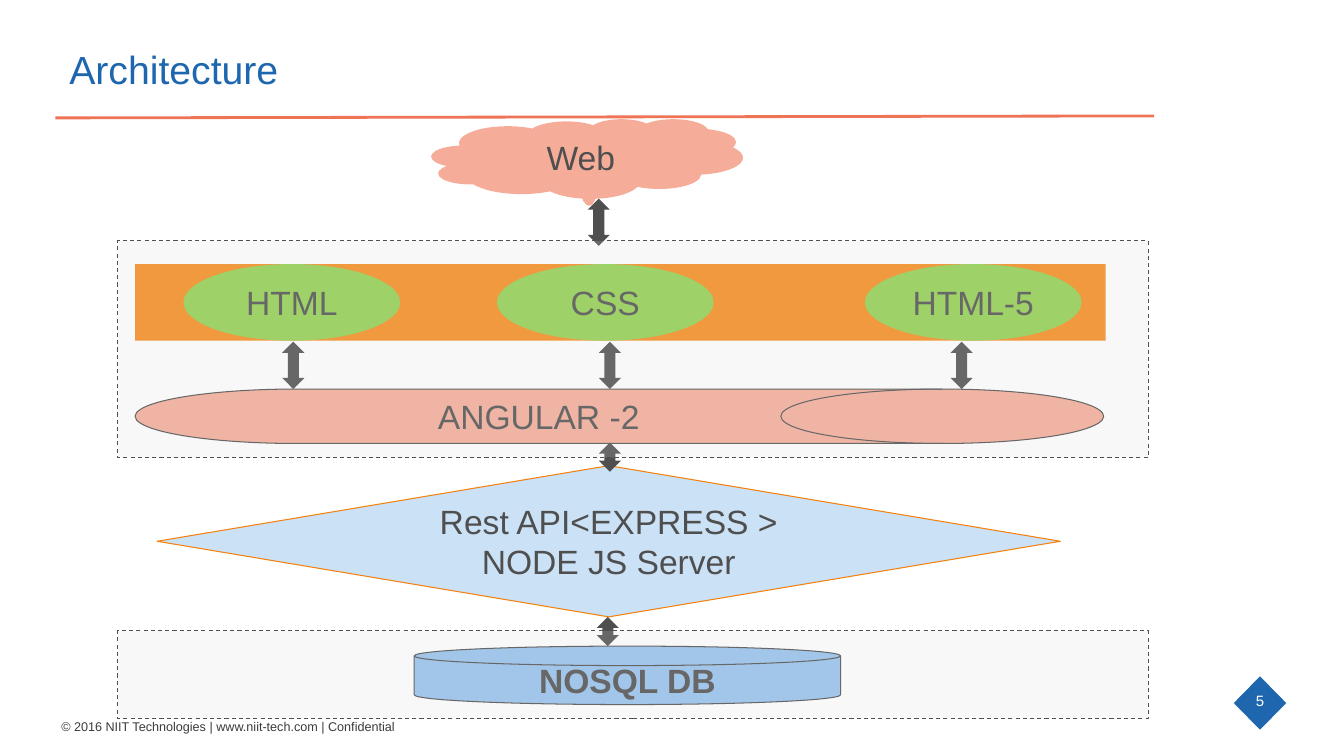
"""Build the architecture slide."""
from dataclasses import dataclass

from lxml.etree import SubElement
from pptx import Presentation
from pptx.dml.color import RGBColor
from pptx.enum.dml import MSO_LINE_DASH_STYLE as Dash
from pptx.enum.shapes import MSO_CONNECTOR as Connector
from pptx.enum.shapes import MSO_SHAPE as Preset
from pptx.enum.text import MSO_ANCHOR as Anchor
from pptx.enum.text import PP_ALIGN as Align
from pptx.oxml.ns import qn
from pptx.shapes.autoshape import Shape
from pptx.slide import Slide
from pptx.text.text import TextFrame
from pptx.util import Pt

COLORS = {
    "blue": "1E67AF",
    "red": "EE7455",
    "salmon": "F5AD99",
    "orange": "F78B1D",
    "outline": "F5800B",
    "green": "92D050",
    "sky": "CBE1F6",
    "database": "97C2ED",
    "gray": "4F4F4F",
    "zone": "D9D9D9",
    "footer": "3B3B3B",
    "white": "FFFFFF",
}


@dataclass(frozen=True)
class Block:
    """A preset shape with its place in points, colours and label."""

    preset: Preset
    left: float
    top: float
    width: float
    height: float
    fill: str
    line: str = ""
    text: str = ""
    bold: bool = False
    inset: float = 7.2
    adjustments: tuple[float, ...] = ()


BAND_TOP, BAND_HEIGHT = 188.64, 54.72
ARROW_WIDTH, ZONE_LEFT, ZONE_WIDTH = 15.84, 84.24, 735.84

PAGES = [
    Block(Preset.OVAL, left, BAND_TOP, 154.8, BAND_HEIGHT, "green", text=text)
    for left, text in ((131.04, "HTML"), (354.96, "CSS"), (617.76, "HTML-5"))
]
ARROWS = [
    Block(Preset.UP_DOWN_ARROW, left, top, ARROW_WIDTH, height, "gray")
    for left, top, height in (
        (426.24, 440.64, 20.88),
        (427.68, 316.08, 20.88),
        (678.96, 244.08, 33.84),
        (201.6, 244.08, 33.84),
        (427.68, 244.08, 33.84),
        (419.76, 141.84, 33.84),
    )
]
ZONES = [
    Block(Preset.RECTANGLE, ZONE_LEFT, top, ZONE_WIDTH, height, "zone", "gray")
    for top, height in ((172.08, 154.8), (450.72, 62.64))
]
BADGE = Block(Preset.DIAMOND, 881.28, 483.12, 37.44, 38.16, "blue")
BAND = Block(Preset.RECTANGLE, 96.48, BAND_TOP, 693.36, BAND_HEIGHT, "orange")
ANGULAR = Block(Preset.FLOWCHART_DIRECT_ACCESS_STORAGE, 96.48, 277.92, 691.92, 38.88,
                "salmon", "gray", "ANGULAR -2")
SERVER = Block(Preset.FLOWCHART_DECISION, 112.32, 332.64, 645.12, 108,
               "sky", "outline", "Rest API<EXPRESS >\vNODE JS Server")
DATABASE = Block(Preset.FLOWCHART_MAGNETIC_DISK, 295.92, 461.52, 304.56, 41.76,
                 "database", "gray", "NOSQL DB", bold=True)
CLOUD = Block(Preset.CLOUD_CALLOUT, 308.16, 84.96, 222.48, 56.88, "salmon",
              text="Web", inset=13.9, adjustments=(0.006, 0.523))


def color(name: str) -> RGBColor:
    """Return the named colour."""
    return RGBColor.from_string(COLORS[name])


def write(frame: TextFrame, text: str, *, size: float, ink: str, bold: bool = False,
          align: Align = Align.LEFT, anchor: Anchor = Anchor.TOP,
          insets: tuple[float, float, float, float] = (7.2, 3.6, 7.2, 3.6),
          spacing: float = 1.0) -> None:
    """Put formatted text in a frame; insets run left, top, right, bottom."""
    frame.word_wrap = True
    frame.vertical_anchor = anchor
    frame.margin_left, frame.margin_top, frame.margin_right, frame.margin_bottom = map(Pt, insets)
    paragraph = frame.paragraphs[0]
    paragraph.text = text
    paragraph.alignment = align
    paragraph.line_spacing = spacing
    font = paragraph.font
    font.name, font.size, font.bold = "Arial", Pt(size), bold
    font.color.rgb = color(ink)


def draw_block(slide: Slide, block: Block) -> Shape:
    """Draw one block and return its shape."""
    shape = slide.shapes.add_shape(
        block.preset, Pt(block.left), Pt(block.top), Pt(block.width), Pt(block.height))
    shape.shadow.inherit = False
    for index, value in enumerate(block.adjustments):
        shape.adjustments[index] = value
    shape.fill.solid()
    shape.fill.fore_color.rgb = color(block.fill)
    if block.line:
        shape.line.color.rgb = color(block.line)
        shape.line.width = Pt(0.75)
    else:
        shape.line.fill.background()
    if block.text:
        write(shape.text_frame, block.text, size=24, ink="gray", bold=block.bold,
              align=Align.CENTER, anchor=Anchor.MIDDLE, insets=(block.inset, 3.6, 7.2, 3.6))
    return shape


def draw_zone(slide: Slide, block: Block) -> None:
    """Draw a translucent block with a dashed outline."""
    shape = draw_block(slide, block)
    shape.line.dash_style = Dash.DASH
    fill = shape.fill._xPr.find(qn("a:solidFill"))
    SubElement(fill[0], qn("a:alpha"), val="18000")


def draw_frame(slide: Slide) -> None:
    """Draw the title, its rule, the footer and the page badge."""
    title = slide.shapes.title
    title.left, title.top, title.width, title.height = map(Pt, (34.56, 25.92, 784.8, 50.4))
    write(title.text_frame, "Architecture", size=28, ink="blue", anchor=Anchor.MIDDLE,
          insets=(15, 3.6, 7.2, 3.6), spacing=0.9)
    rule = slide.shapes.add_connector(
        Connector.STRAIGHT, Pt(39.6), Pt(84.24), Pt(824.4), Pt(82.8))
    rule.line.color.rgb = color("red")
    rule.line.width = Pt(2)
    SubElement(rule.line._ln.getparent(), qn("a:effectLst"))
    footer = slide.shapes.add_textbox(Pt(36.72), Pt(509.76), Pt(640.08), Pt(18))
    write(footer.text_frame, "© 2016 NIIT Technologies | www.niit-tech.com | Confidential",
          size=9, ink="footer")
    draw_block(slide, BADGE)
    number = slide.shapes.add_textbox(Pt(890.64), Pt(493.92), Pt(18.72), Pt(12.96))
    write(number.text_frame, "5", size=10.7, ink="white", align=Align.CENTER,
          insets=(0, 0, 0, 0))


def main() -> None:
    """Build and save the presentation."""
    presentation = Presentation()
    presentation.slide_width, presentation.slide_height = Pt(960), Pt(540)
    slide = presentation.slides.add_slide(presentation.slide_layouts[5])
    draw_frame(slide)
    for block in (BAND, *PAGES, ANGULAR, SERVER, DATABASE, *ARROWS):
        draw_block(slide, block)
    for zone in ZONES:
        draw_zone(slide, zone)
    draw_block(slide, CLOUD)
    presentation.save("out.pptx")


if __name__ == "__main__":
    main()
